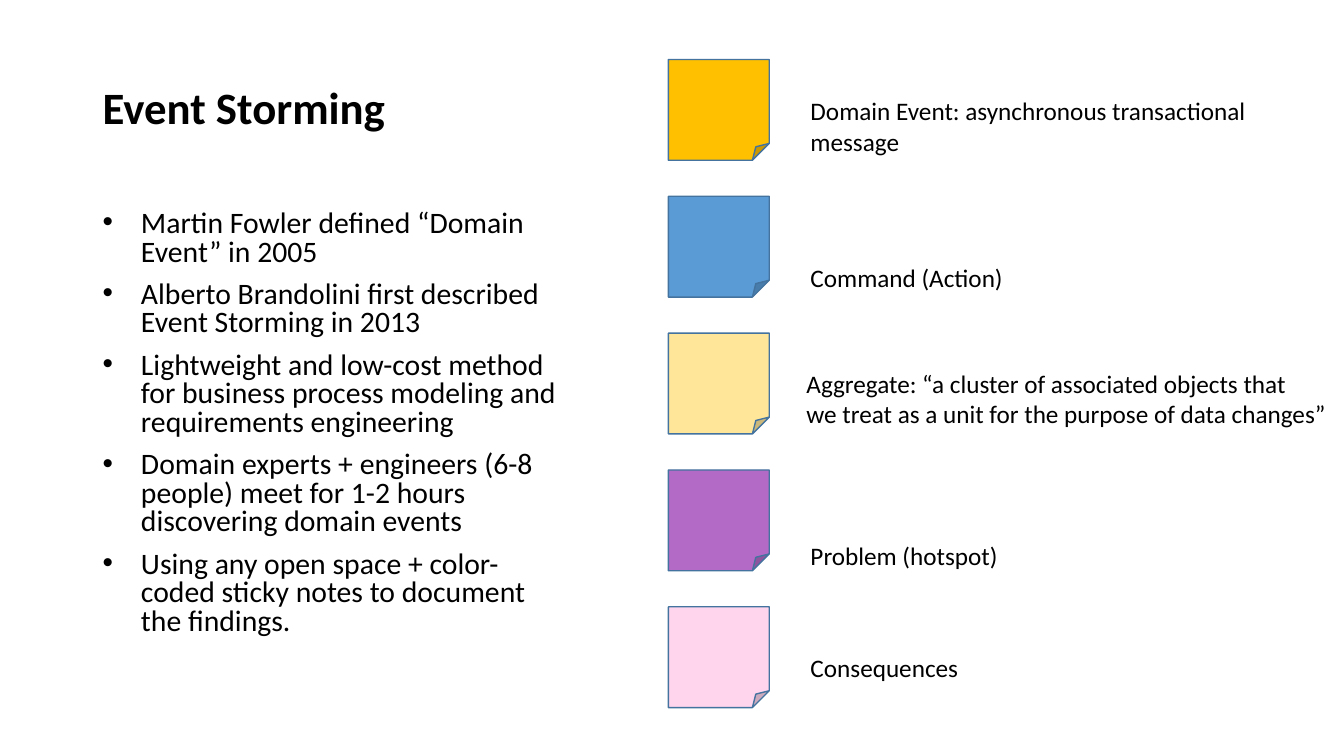
from pptx import Presentation
from pptx.dml.color import RGBColor
from pptx.enum import shapes, text
from pptx.oxml import xmlchemy
from pptx.oxml.ns import qn
from pptx.util import Inches, Pt
from lxml import etree

BLACK = RGBColor(0x00, 0x00, 0x00)
OUTLINE = RGBColor(0x43, 0x73, 0x9E)
ORANGE = RGBColor(0xFF, 0xC0, 0x00)
BLUE = RGBColor(0x5B, 0x9B, 0xD5)
YELLOW = RGBColor(0xFF, 0xE6, 0x99)
PURPLE = RGBColor(0xB2, 0x6A, 0xC6)
PINK = RGBColor(0xFF, 0xD5, 0xEE)

FONT = "Calibri"
NOTE_LEFT, NOTE_SIZE = 6.63, 1
FIRST_NOTE_TOP, LAST_NOTE_TOP = 0.59, 6.02

BULLETS = [
    "Martin Fowler defined “Domain Event” in 2005",
    "Alberto Brandolini first described Event Storming in 2013",
    "Lightweight and low-cost method for business process modeling and requirements engineering",
    "Domain experts + engineers (6-8 people) meet for 1-2 hours discovering domain events",
    "Using any open space + color-coded sticky notes to document the findings.",
]

NOTES = [
    (ORANGE, (7.94, 0.9, 5.22, 0.71), True,
     ["Domain Event: asynchronous transactional message"]),
    (BLUE, (7.94, 2.55, 2.13, 0.4), False, ["Command (Action)"]),
    (YELLOW, (7.9, 3.6, 5.41, 0.71), False,
     ["Aggregate: “a cluster of associated objects that",
      "we treat as a unit for the purpose of data changes”"]),
    (PURPLE, (7.94, 5.31, 2.08, 0.4), False, ["Problem (hotspot)"]),
    (PINK, (7.94, 6.42, 1.72, 0.4), False, ["Consequences"]),
]


def add_text(slide, box, lines, size, bold=False, wrap=True):
    tf = slide.shapes.add_textbox(*map(Inches, box)).text_frame
    tf.word_wrap = wrap
    tf.text = "\n".join(lines)
    for p in tf.paragraphs:
        p.font.name = FONT
        p.font.size = Pt(size)
        p.font.bold = bold
        p.font.color.rgb = BLACK
    return tf


def add_title(slide, title):
    tf = add_text(slide, (0.92, 0.5, 4.3, 0.88), [title], 32, bold=True)
    tf.vertical_anchor = text.MSO_ANCHOR.BOTTOM
    tf.paragraphs[0].line_spacing = 0.9


def add_bullets(slide, lines):
    tf = add_text(slide, (0.92, 1.6, 4.79, 4.82), lines, 21.2)
    tf.margin_top = Inches(0.49)
    for p in tf.paragraphs:
        p.line_spacing = 0.8
        p.space_before = Pt(10)
        pPr = p._p.get_or_add_pPr()
        pPr.set("marL", str(Inches(0.38)))
        pPr.set("indent", str(Inches(-0.38)))
        font = etree.Element(qn("a:buFont"), typeface="Arial")
        bullet = etree.Element(qn("a:buChar"), char="•")
        pPr.find(qn("a:spcBef")).addnext(font)
        font.addnext(bullet)


def add_note(slide, top, color):
    sp = slide.shapes.add_shape(
        shapes.MSO_SHAPE.FOLDED_CORNER, Inches(NOTE_LEFT), Inches(top),
        Inches(NOTE_SIZE), Inches(NOTE_SIZE))
    sp.shadow.inherit = False
    sp.fill.solid()
    sp.fill.fore_color.rgb = color
    sp.line.color.rgb = OUTLINE
    sp.line.width = Pt(1)


def main():
    prs = Presentation()
    prs.slide_width, prs.slide_height = Inches(13.33), Inches(7.5)
    slide = prs.slides.add_slide(prs.slide_layouts[6])
    add_title(slide, "Event Storming")
    add_bullets(slide, BULLETS)
    pitch = (LAST_NOTE_TOP - FIRST_NOTE_TOP) / (len(NOTES) - 1)
    for i, (color, box, wrap, lines) in enumerate(NOTES):
        add_note(slide, FIRST_NOTE_TOP + i * pitch, color)
        add_text(slide, box, lines, 18, wrap=wrap)
    prs.save("out.pptx")


if __name__ == "__main__":
    main()
